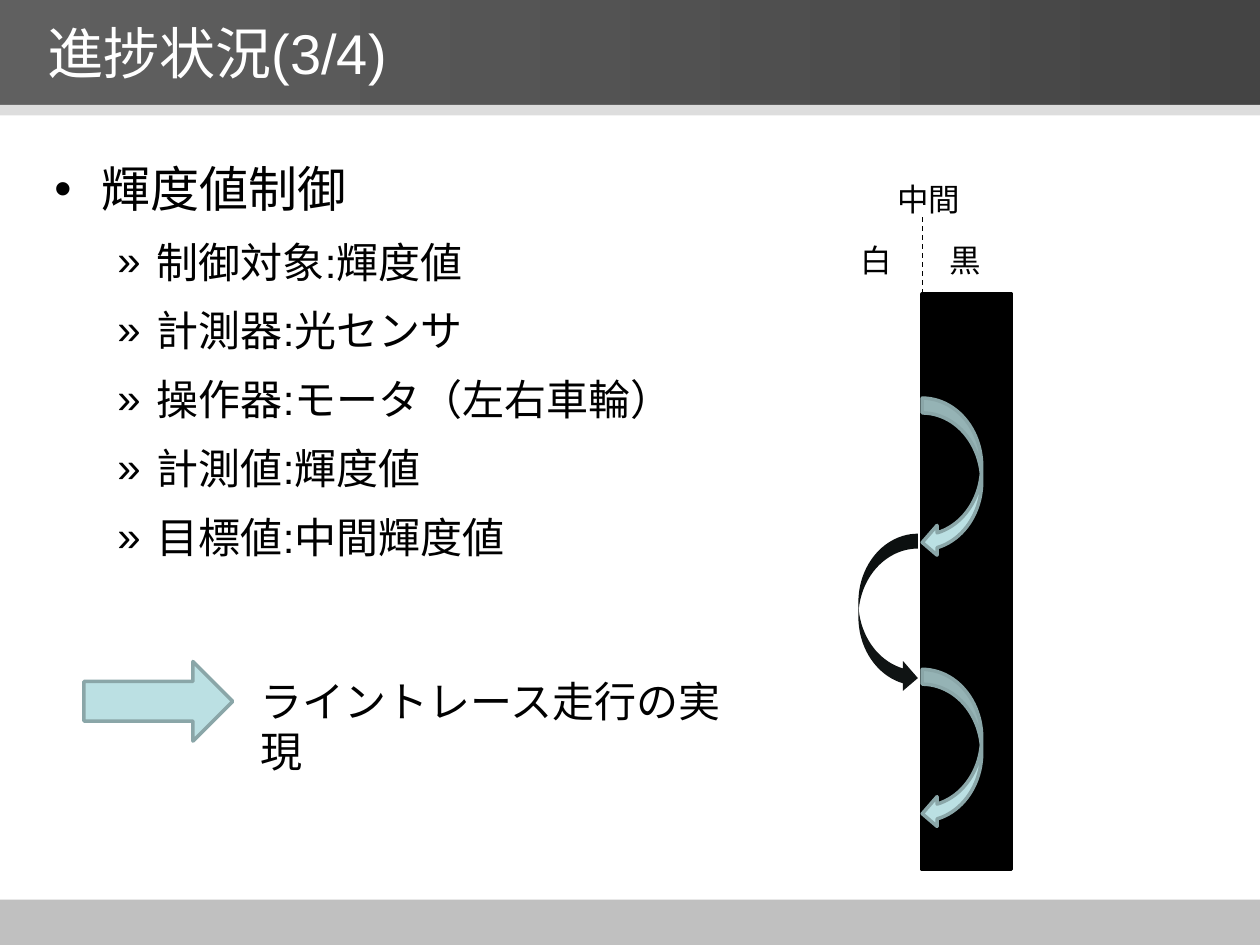
import pptx
import pptx.dml.color
import pptx.enum.dml
import pptx.enum.shapes
import pptx.enum.text
import pptx.oxml.ns
import pptx.util
from lxml import etree

Pt = pptx.util.Pt
SHAPE = pptx.enum.shapes.MSO_SHAPE
FONT = "Arial"
PALE, EDGE, BLACK, NEAR_BLACK = "BBE0E3", "8AA6A8", "000000", "101414"

TITLE = "進捗状況(3/4)"
TOPIC = "輝度値制御"
DETAILS = [
    "制御対象:輝度値",
    "計測器:光センサ",
    "操作器:モータ（左右車輪）",
    "計測値:輝度値",
    "目標値:中間輝度値",
]
RESULT = "ライントレース走行の実現"

# bullet, size, left margin, hanging indent
TOPIC_STYLE = ("•", 28, 27, 27)
DETAIL_STYLE = ("»", 24, 58.5, 22.5)

EDGE_X, TRACK_TOP = 527, 168
LABELS = [  # text, left, top, width
    ("白", 484.5, 134, 34),
    ("黒", 535.5, 134, 34),
    ("中間", 505.5, 99.5, 115),
]
TURN_TOP, TURN_STEP, TURN_W, TURN_H = 227.5, 77.5, 34, 91
TURNS = [  # shape, left, fill, line
    (SHAPE.CURVED_LEFT_ARROW, EDGE_X, PALE, EDGE),
    (SHAPE.CURVED_RIGHT_ARROW, EDGE_X - 36.5, NEAR_BLACK, None),
    (SHAPE.CURVED_LEFT_ARROW, EDGE_X, PALE, EDGE),
]


def color(hex_text):
    return pptx.dml.color.RGBColor.from_string(hex_text)


def add_shape(kind, left, top, width, height, fill, line=None):
    shape = slide.shapes.add_shape(kind, Pt(left), Pt(top), Pt(width), Pt(height))
    shape.shadow.inherit = False
    shape.fill.solid()
    shape.fill.fore_color.rgb = color(fill)
    if line:
        shape.line.color.rgb = color(line)
        shape.line.width = Pt(2)
    else:
        shape.line.fill.background()
    return shape


def add_frame(left, top, width, height):
    frame = slide.shapes.add_textbox(Pt(left), Pt(top), Pt(width), Pt(height)).text_frame
    frame.word_wrap = True
    return frame


def add_run(paragraph, text, size, text_color=BLACK):
    run = paragraph.add_run()
    run.text = text
    run.font.name = FONT
    run.font.size = Pt(size)
    run.font.color.rgb = color(text_color)


def add_bullet(paragraph, bullet, margin, hanging):
    properties = paragraph._p.get_or_add_pPr()
    properties.set("marL", str(Pt(margin)))
    properties.set("indent", str(-Pt(hanging)))
    etree.SubElement(properties, pptx.oxml.ns.qn("a:buFont")).set("typeface", FONT)
    etree.SubElement(properties, pptx.oxml.ns.qn("a:buChar")).set("char", bullet)


deck = pptx.Presentation()
deck.slide_width, deck.slide_height = Pt(720), Pt(540)
slide = deck.slides.add_slide(deck.slide_layouts[6])

# Bands and title
add_shape(SHAPE.RECTANGLE, 0, 514, 720, 26, "C0C0C0")
header = add_shape(SHAPE.RECTANGLE, 0, 0, 720, 60, "606060")
header.fill.gradient()
header.fill.gradient_angle = 0
for stop, shade in zip(header.fill.gradient_stops, ("606060", "444444")):
    stop.color.rgb = color(shade)
add_shape(SHAPE.RECTANGLE, 0, 60, 720, 6, "DDDDDD")
title = add_frame(20, 0, 676, 60)
title.vertical_anchor = pptx.enum.text.MSO_ANCHOR.MIDDLE
add_run(title.paragraphs[0], TITLE, 32, "FFFFFF")

# Bulleted list
body = add_frame(24, 80.5, 678, 430)
items = [(TOPIC, TOPIC_STYLE)] + [(detail, DETAIL_STYLE) for detail in DETAILS]
for index, (text, (bullet, size, margin, hanging)) in enumerate(items):
    paragraph = body.add_paragraph() if index else body.paragraphs[0]
    add_bullet(paragraph, bullet, margin, hanging)
    paragraph.line_spacing = 1.2
    if index:
        paragraph.space_before = Pt(size * 0.2)
    add_run(paragraph, text, size)

# Line to trace, with the turns along its left edge
add_shape(SHAPE.RECTANGLE, EDGE_X, TRACK_TOP, 51, 329, BLACK, BLACK)
for index, (kind, left, fill, line) in enumerate(TURNS):
    top = TURN_TOP + index * TURN_STEP
    add_shape(kind, left, top, TURN_W, TURN_H, fill, line)

# Result
add_shape(SHAPE.RIGHT_ARROW, 48, 378, 85, 45.5, PALE, EDGE)
add_run(add_frame(142, 382.5, 300, 36).paragraphs[0], RESULT, 24)

# Labels above the line
for text, left, top, width in LABELS:
    add_run(add_frame(left, top, width, 29).paragraphs[0], text, 18)
boundary = slide.shapes.add_connector(
    pptx.enum.shapes.MSO_CONNECTOR.STRAIGHT,
    Pt(EDGE_X), Pt(TRACK_TOP), Pt(EDGE_X), Pt(122.5))
boundary.line.color.rgb = color(BLACK)
boundary.line.width = Pt(0.75)
boundary.line.dash_style = pptx.enum.dml.MSO_LINE.DASH
etree.SubElement(boundary._element.spPr, pptx.oxml.ns.qn("a:effectLst"))

deck.save("out.pptx")
